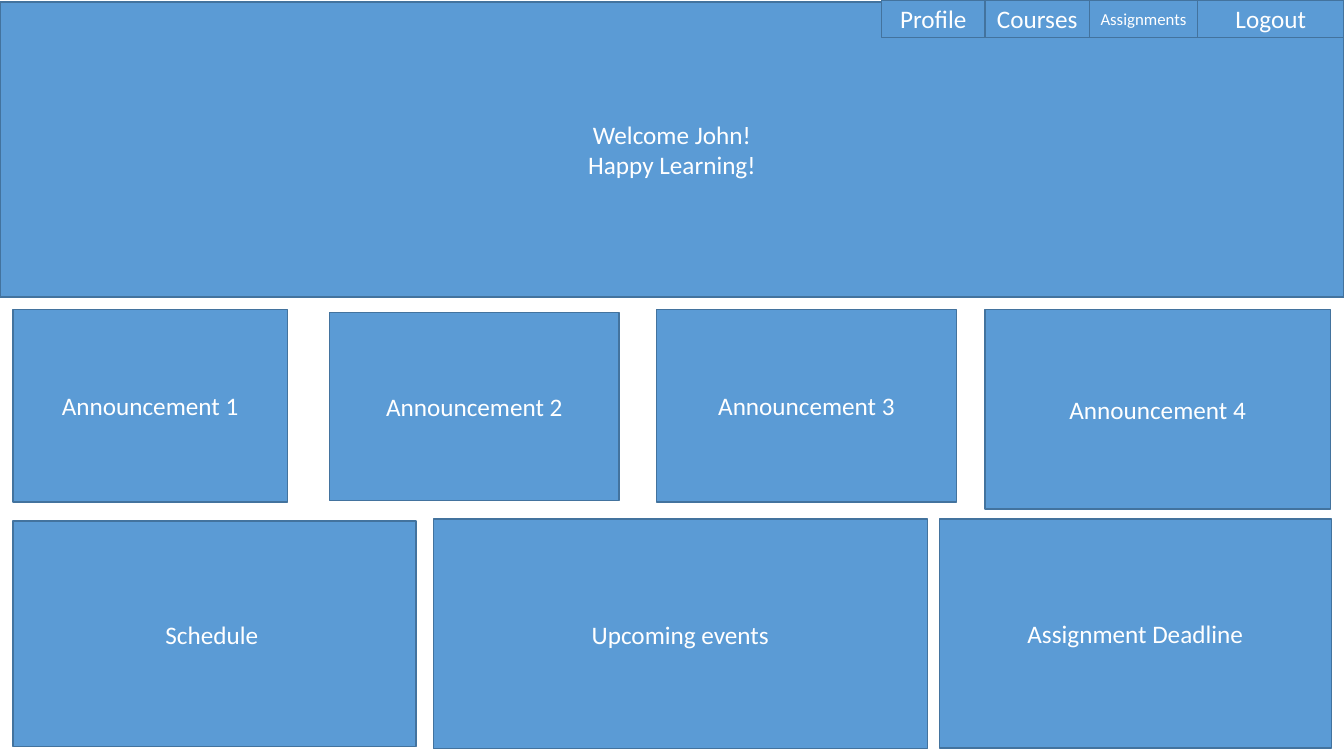
from dataclasses import dataclass
from itertools import accumulate

from pptx import Presentation
from pptx import util as u
from pptx.dml.color import RGBColor
from pptx.enum import shapes, text

SLIDE_WIDTH, SLIDE_HEIGHT = 33.87, 19.05
FILL, OUTLINE, WHITE = "5B9BD5", "43739E", "FFFFFF"
FONT_FORMAT = {"name": "Calibri", "bold": False}
FRAME_FORMAT = {"word_wrap": True, "vertical_anchor": text.MSO_ANCHOR.MIDDLE}


@dataclass
class Panel:
    """A labelled rectangle, measured in centimetres."""
    lines: tuple[str, ...]
    left: float
    top: float
    width: float
    height: float
    size: int = 18


def color(value: str) -> RGBColor:
    return RGBColor.from_string(value)


def apply_format(target, values: dict) -> None:
    for name, value in values.items():
        setattr(target, name, value)


def draw_panel(slide, panel: Panel) -> None:
    box = (panel.left, panel.top, panel.width, panel.height)
    shape = slide.shapes.add_shape(
        shapes.MSO_SHAPE.RECTANGLE, *(u.Cm(length) for length in box))
    shape.shadow.inherit = False
    shape.fill.solid()
    shape.fill.fore_color.rgb = color(FILL)
    shape.line.color.rgb = color(OUTLINE)
    shape.line.width = u.Pt(1)

    frame = shape.text_frame
    apply_format(frame, FRAME_FORMAT)
    for index, line in enumerate(panel.lines):
        paragraph = frame.add_paragraph() if index else frame.paragraphs[0]
        paragraph.alignment = text.PP_ALIGN.CENTER
        run = paragraph.add_run()
        run.text = line
        apply_format(run.font, FONT_FORMAT | {"size": u.Pt(panel.size)})
        run.font.color.rgb = color(WHITE)


def menu_panels() -> list[Panel]:
    """Menu buttons stand side by side, ending at the right slide edge."""
    buttons = [("Profile", 2.6, 18), ("Courses", 2.64, 18),
               ("Assignments", 2.72, 12), ("Logout", 3.69, 18)]
    widths = [width for _, width, _ in buttons]
    lefts = accumulate(widths, initial=SLIDE_WIDTH - sum(widths))
    return [Panel((label,), left, 0, width, 0.94, size)
            for (label, width, size), left in zip(buttons, lefts)]


def announcement_panels() -> list[Panel]:
    boxes = [(0.33, 7.8, 6.91, 4.85), (8.31, 7.87, 7.29, 4.75),
             (16.54, 7.8, 7.57, 4.85), (24.82, 7.8, 8.71, 5.03)]
    return [Panel((f"Announcement {number}",), *box)
            for number, box in enumerate(boxes, start=1)]


def main() -> None:
    presentation = Presentation()
    presentation.slide_width = u.Cm(SLIDE_WIDTH)
    presentation.slide_height = u.Cm(SLIDE_HEIGHT)
    slide = presentation.slides.add_slide(presentation.slide_layouts[6])

    # Welcome banner
    banner = Panel(("Welcome John!", "Happy Learning!"),
                   0, 0.05, SLIDE_WIDTH, 7.44)
    # Planning row
    planning = [
        Panel(("Schedule ",), 0.33, 13.13, 10.16, 5.69),
        Panel(("Upcoming events",), 10.92, 13.08, 12.45, 5.79),
        Panel(("Assignment Deadline",), 23.67, 13.08, 9.88, 5.77),
    ]
    # All panels, from back to front
    for panel in [banner, *menu_panels(), *announcement_panels(), *planning]:
        draw_panel(slide, panel)

    presentation.save("out.pptx")


if __name__ == "__main__":
    main()
